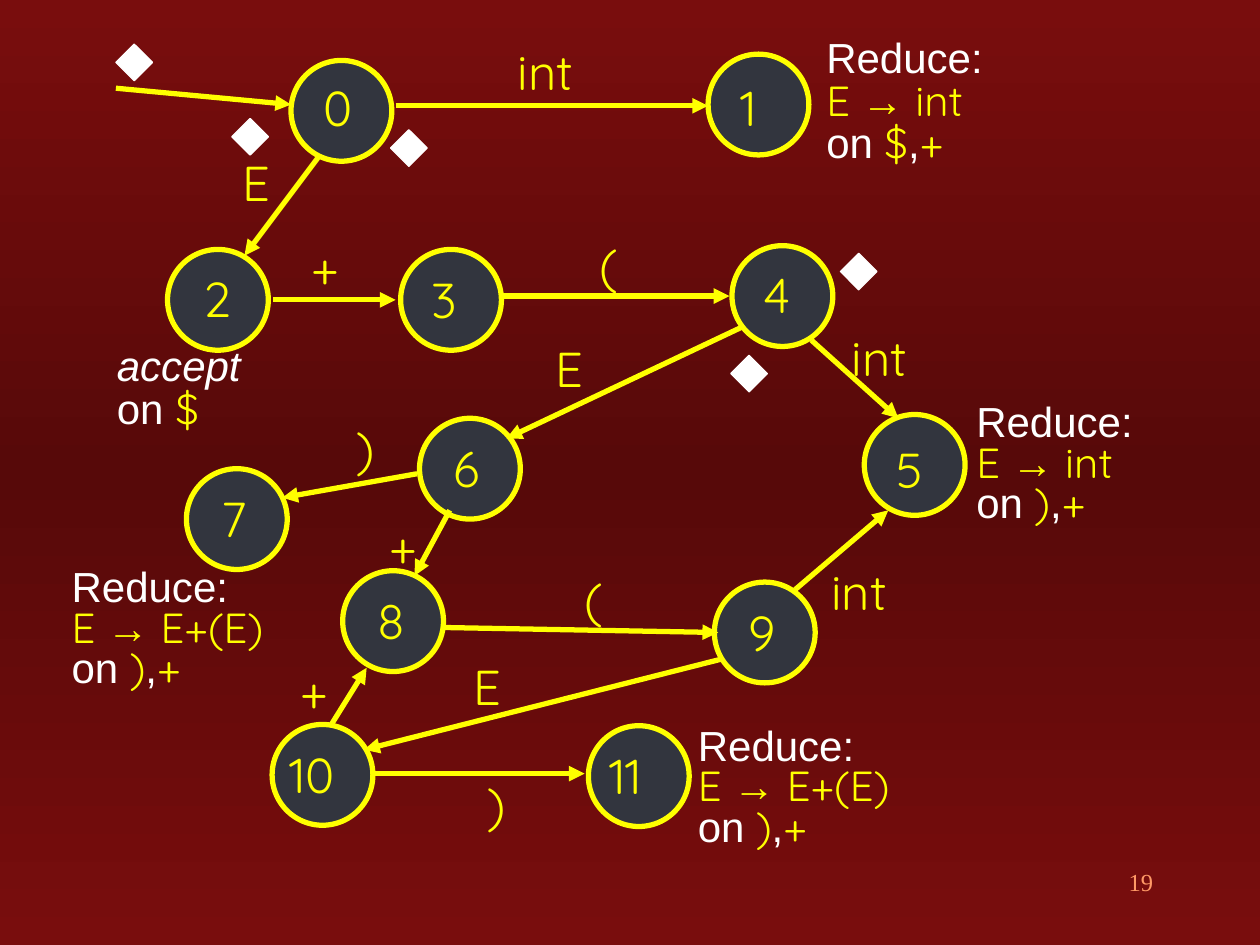
"""Build the slide of a parsing automaton with numbered states and reduce actions."""
from copy import deepcopy
from dataclasses import dataclass

from lxml import etree
from pptx import Presentation
from pptx import util as u
from pptx.dml.color import RGBColor
from pptx.enum import shapes, text
from pptx.oxml.ns import qn


@dataclass(frozen=True)
class Theme:
    edge: str = "790D0D"
    middle: str = "570909"
    node: str = "32353E"
    yellow: str = "FFFF00"
    white: str = "FFFFFF"
    orange: str = "FF9966"
    sans: str = "Arial"
    code: str = "Quicksand"
    serif: str = "Times New Roman"
    label_size: int = 28
    note_size: int = 24
    number_size: int = 14
    line: float = 3
    thin: float = 0.75


T = Theme()
WIDTH, HEIGHT = 10, 7.5
NODE, MARK, LABEL_HEIGHT = 0.8, 0.29, 0.57
LABEL_WIDTHS = {"int": 0.68, "E": 0.41, "+": 0.42, "(": 0.51, ")": 0.51}
DIGIT_WIDTHS = {1: 0.42, 2: 0.64}

STYLES = {
    "plain": (T.sans, T.white, False),
    "italic": (T.sans, T.white, True),
    "code": (T.code, T.yellow, False),
    "arrow": (T.sans, T.yellow, False),
}

# state: circle corner, number corner
NODES = {
    "0": ((2.31, 0.48), (2.47, 0.57)),
    "1": ((5.62, 0.43), (5.78, 0.57)),
    "2": ((1.33, 1.98), (1.52, 2.08)),
    "3": ((3.18, 1.98), (3.33, 2.09)),
    "4": ((5.81, 1.95), (5.96, 2.05)),
    "5": ((6.86, 3.29), (7.02, 3.44)),
    "6": ((3.33, 3.32), (3.5, 3.43)),
    "7": ((1.48, 3.72), (1.66, 3.83)),
    "8": ((2.72, 4.53), (2.9, 4.64)),
    "9": ((5.67, 4.62), (5.84, 4.73)),
    "10": ((2.16, 5.75), (2.2, 5.86)),
    "11": ((4.67, 5.76), (4.74, 5.87)),
}

EDGES = [
    ((0.92, 0.7), (2.31, 0.83), None, None),
    ((3.14, 0.84), (5.62, 0.84), "int", (4.01, 0.28)),
    ((2.54, 1.23), (1.94, 2.03), "E", (1.83, 1.16)),
    ((2.17, 2.38), (3.14, 2.38), "+", (2.37, 1.83)),
    ((3.99, 2.35), (5.79, 2.35), "(", (4.66, 1.82)),
    ((5.88, 2.6), (4.02, 3.48), "E", (4.31, 2.64)),
    ((6.44, 2.7), (7.13, 3.32), "int", (6.66, 2.55)),
    ((3.31, 3.76), (2.24, 3.95), ")", (2.73, 3.27)),
    ((3.57, 4.05), (3.29, 4.57), "+", (2.99, 4.04)),
    ((3.51, 4.98), (5.7, 5.02), "(", (4.54, 4.47)),
    ((6.31, 4.68), (7.05, 4.05), "int", (6.5, 4.41)),
    ((5.73, 5.23), (2.89, 5.95), "E", (3.66, 5.16)),
    ((2.63, 5.75), (2.91, 5.3), "+", (2.29, 5.19)),
    ((2.97, 6.14), (4.64, 6.14), ")", (3.77, 6.1)),
]

MARKS = [(0.92, 0.35), (3.1, 1.03), (1.84, 0.94), (6.67, 2.01), (5.8, 2.82)]


def reduce_note(product, lookahead):
    return [
        [("plain", "Reduce:")],
        [("code", "E "), ("arrow", "→ "), ("code", product)],
        [("plain", "on"), ("code", f" {lookahead}"), ("plain", ","), ("code", "+")],
    ]


ACCEPT = [[("italic", "accept")], [("plain", "on "), ("code", "$")]]
NOTES = [
    ((6.46, 0.26, 2.14, 1.12), 0.85, reduce_note("int", "$")),
    ((7.65, 3.17, 2.14, 1.06), 0.8, reduce_note("int", ")")),
    ((5.44, 5.74, 2.53, 1.06), 0.8, reduce_note("E+(E)", ")")),
    ((0.47, 4.48, 2.53, 1.06), 0.8, reduce_note("E+(E)", ")")),
    ((0.83, 2.71, 1.67, 0.78), 0.85, ACCEPT),
]


def inches(*values):
    return [u.Inches(v) for v in values]


def color(value):
    return RGBColor.from_string(value)


def paint_background(s):
    fill = s.background.fill
    fill.gradient()
    fill.gradient_angle = 270
    first = s.element.find(".//" + qn("a:gs"))
    first.addnext(deepcopy(first))
    for stop, place, tone in zip(fill.gradient_stops, (0, 0.5, 1), (T.edge, T.middle, T.edge)):
        stop.position = place
        stop.color.rgb = color(tone)


def add_solid(s, kind, corner, size, fill, line, weight):
    sp = s.shapes.add_shape(kind, *inches(*corner, size, size))
    sp.shadow.inherit = False
    sp.fill.solid()
    sp.fill.fore_color.rgb = color(fill)
    sp.line.color.rgb = color(line)
    sp.line.width = u.Pt(weight)


def add_arrow(s, start, end):
    sp = s.shapes.add_connector(shapes.MSO_CONNECTOR.STRAIGHT, *inches(*start, *end))
    sp.line.color.rgb = color(T.yellow)
    sp.line.width = u.Pt(T.line)
    etree.SubElement(sp.line._get_or_add_ln(), qn("a:tailEnd"), type="triangle")
    etree.SubElement(sp.element.spPr, qn("a:effectLst"))


def add_box(s, box, wrap=True):
    tf = s.shapes.add_textbox(*inches(*box)).text_frame
    tf.word_wrap = wrap
    return tf.paragraphs[0]


def add_run(p, words, size, font, tone, italic=False):
    r = p.add_run()
    r.text = words
    r.font.size = u.Pt(size)
    r.font.name = font
    r.font.italic = italic
    r.font.color.rgb = color(tone)


def add_label(s, words, corner, width):
    p = add_box(s, (*corner, width, LABEL_HEIGHT), wrap=words in "()")
    add_run(p, words, T.label_size, T.code, T.yellow)


def add_note(s, box, spacing, lines):
    p = add_box(s, box)
    p.line_spacing = spacing
    for i, line in enumerate(lines):
        if i:
            p.add_line_break()
        for style, words in line:
            font, tone, italic = STYLES[style]
            add_run(p, words, T.note_size, font, tone, italic)


def main():
    prs = Presentation()
    prs.slide_width, prs.slide_height = inches(WIDTH, HEIGHT)
    s = prs.slides.add_slide(prs.slide_layouts[6])
    paint_background(s)
    for number, (corner, label_corner) in NODES.items():
        add_solid(s, shapes.MSO_SHAPE.OVAL, corner, NODE, T.node, T.yellow, T.line)
        add_label(s, number, label_corner, DIGIT_WIDTHS[len(number)])
    for start, end, label, corner in EDGES:
        add_arrow(s, start, end)
        if label:
            add_label(s, label, corner, LABEL_WIDTHS[label])
    for note in NOTES:
        add_note(s, *note)
    for corner in MARKS:
        add_solid(s, shapes.MSO_SHAPE.DIAMOND, corner, MARK, T.white, T.white, T.thin)
    p = add_box(s, (7.17, 6.83, 2.08, 0.5))
    p.alignment = text.PP_ALIGN.RIGHT
    add_run(p, "19", T.number_size, T.serif, T.orange)
    prs.save("out.pptx")


if __name__ == "__main__":
    main()
